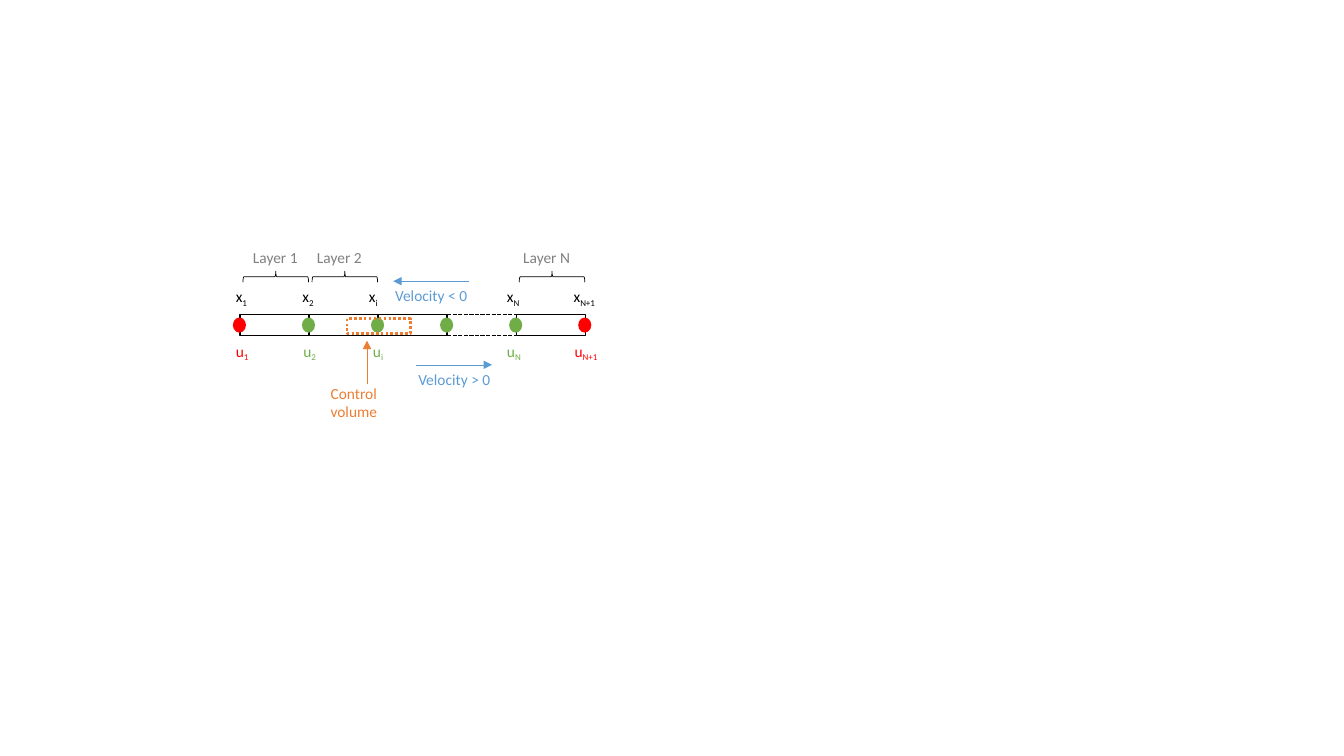
from collections import namedtuple
from dataclasses import dataclass

from lxml import etree
from pptx import Presentation
from pptx import util as u
from pptx.dml.color import RGBColor
from pptx.enum import dml, shapes, text
from pptx.oxml import ns

Box = namedtuple("Box", "left top width height")


@dataclass(frozen=True)
class Theme:
    font: str = "Calibri"
    size: float = 11
    ink: str = "000000"
    grey: str = "808080"
    inner: str = "70AD47"
    boundary: str = "FF0000"
    velocity: str = "5B9BD5"
    control: str = "ED7D31"
    thin: float = 0.5
    medium: float = 1
    thick: float = 1.75


THEME = Theme()
PITCH = 0.685
DASH = dml.MSO_LINE.SQUARE_DOT
DOT = dml.MSO_LINE.ROUND_DOT


def lengths(*values):
    return [u.Inches(value) for value in values]


def style_line(line, color, width, dash=None):
    line.color.rgb = RGBColor.from_string(color)
    for name, value in {"width": u.Pt(width), "dash_style": dash}.items():
        setattr(line, name, value)


def add_figure(page, kind, box, fill=None, line=None):
    figure = page.shapes.add_shape(kind, *lengths(*box))
    figure.shadow.inherit = False
    if fill:
        figure.fill.solid()
        figure.fill.fore_color.rgb = RGBColor.from_string(fill)
    else:
        figure.fill.background()
    if line:
        style_line(figure.line, *line)
    else:
        figure.line.fill.background()
    return figure


def add_line(page, start, end, color, width, dash=None, arrow=False):
    line = page.shapes.add_connector(
        shapes.MSO_CONNECTOR.STRAIGHT, *lengths(*start, *end))
    style_line(line.line, color, width, dash)
    if arrow:
        outline = line.line._get_or_add_ln()
        etree.SubElement(outline, ns.qn("a:tailEnd"), type="triangle")
    properties = line._element.spPr
    etree.SubElement(properties, ns.qn("a:effectLst"))


def add_label(page, box, wording, color, subscript=""):
    frame = page.shapes.add_textbox(*lengths(*box)).text_frame
    settings = {"word_wrap": True,
                "auto_size": text.MSO_AUTO_SIZE.SHAPE_TO_FIT_TEXT}
    for name, value in settings.items():
        setattr(frame, name, value)
    para = frame.paragraphs[0]
    for part in filter(None, (wording, subscript)):
        span = para.add_run()
        span.text = part
        font = {"name": THEME.font, "size": u.Pt(THEME.size)}
        for name, value in font.items():
            setattr(span.font, name, value)
        span.font.color.rgb = RGBColor.from_string(color)
    if subscript:
        span._r.get_or_add_rPr().set("baseline", "-25000")


def draw_grid(page, box):
    line = (THEME.ink, THEME.medium)
    for step in (0, 1, 2, 4):
        cell = Box(box.left + step * PITCH, box.top, PITCH, box.height)
        add_figure(page, shapes.MSO_SHAPE.RECTANGLE, cell, line=line)
    gap = box.left + 3 * PITCH
    for top in (box.top, box.top + box.height):
        add_line(page, (gap, top), (gap + PITCH, top), *line, DASH)
    for step in range(6):
        color = THEME.boundary if step in (0, 5) else THEME.inner
        node = Box(box.left - 0.07 + step * PITCH, box.top + 0.03, 0.13, 0.15)
        add_figure(page, shapes.MSO_SHAPE.OVAL, node, fill=color)


def draw_layers(page, box):
    layers = (("1", 0, 0.03), ("2", 1, -0.02), ("N", 4, -0.03))
    for name, step, shift in layers:
        left = box.left + step * PITCH
        brace = add_figure(page, shapes.MSO_SHAPE.LEFT_BRACE,
                           Box(left + 0.3, box.top + 0.01, 0.11, 0.65),
                           line=(THEME.ink, THEME.thin))
        brace.rotation = 90
        add_label(page, Box(left + shift, box.top, 0.72, 0.29),
                  f"Layer {name}", THEME.grey)


def draw_symbols(page, box, symbol, offsets, end_color, inner_color):
    names = ("1", "2", "i", "N", "N+1")
    for name, offset in zip(names, offsets):
        color = end_color if name in ("1", "N+1") else inner_color
        width = 0.48 if name == "N+1" else 0.38
        add_label(page, Box(box.left + offset, box.top, width, box.height),
                  symbol, color, name)


def draw_velocity(page, box, sign):
    ends = [(box.left + 0.08, box.top), (box.left + 0.83, box.top)]
    start, end = ends if sign == ">" else reversed(ends)
    add_line(page, start, end, THEME.velocity, THEME.thin, arrow=True)
    add_label(page, box, f"Velocity {sign} 0", THEME.velocity)


def draw_control_volume(page, box):
    add_figure(page, shapes.MSO_SHAPE.RECTANGLE,
               Box(box.left + 0.26, box.top, 0.63, 0.15),
               line=(THEME.control, THEME.thick, DOT))
    middle = box.left + 0.46
    add_line(page, (middle, box.top + 0.65), (middle, box.top + 0.22),
             THEME.control, THEME.thin, arrow=True)
    add_label(page, Box(box.left, box.top + 0.6, 0.72, 0.47),
              "Control volume", THEME.control)


def main():
    deck = Presentation()
    deck.slide_width, deck.slide_height = lengths(13.33, 7.5)
    page = deck.slides.add_slide(deck.slide_layouts[6])
    draw_grid(page, Box(2.38, 3.12, 5 * PITCH, 0.21))
    draw_layers(page, Box(2.38, 2.41, 5 * PITCH, 0.4))
    draw_symbols(page, Box(2.24, 2.8, 3.83, 0.29), "x",
                 (0, 0.66, 1.32, 2.69, 3.35), THEME.ink, THEME.ink)
    draw_symbols(page, Box(2.24, 3.34, 3.84, 0.29), "u",
                 (0, 0.67, 1.36, 2.69, 3.36), THEME.boundary, THEME.inner)
    draw_velocity(page, Box(4.05, 3.62, 0.98, 0.29), ">")
    draw_velocity(page, Box(3.82, 2.79, 0.98, 0.29), "<")
    draw_control_volume(page, Box(3.18, 3.16, 0.89, 1.07))
    deck.save("out.pptx")


if __name__ == "__main__":
    main()
